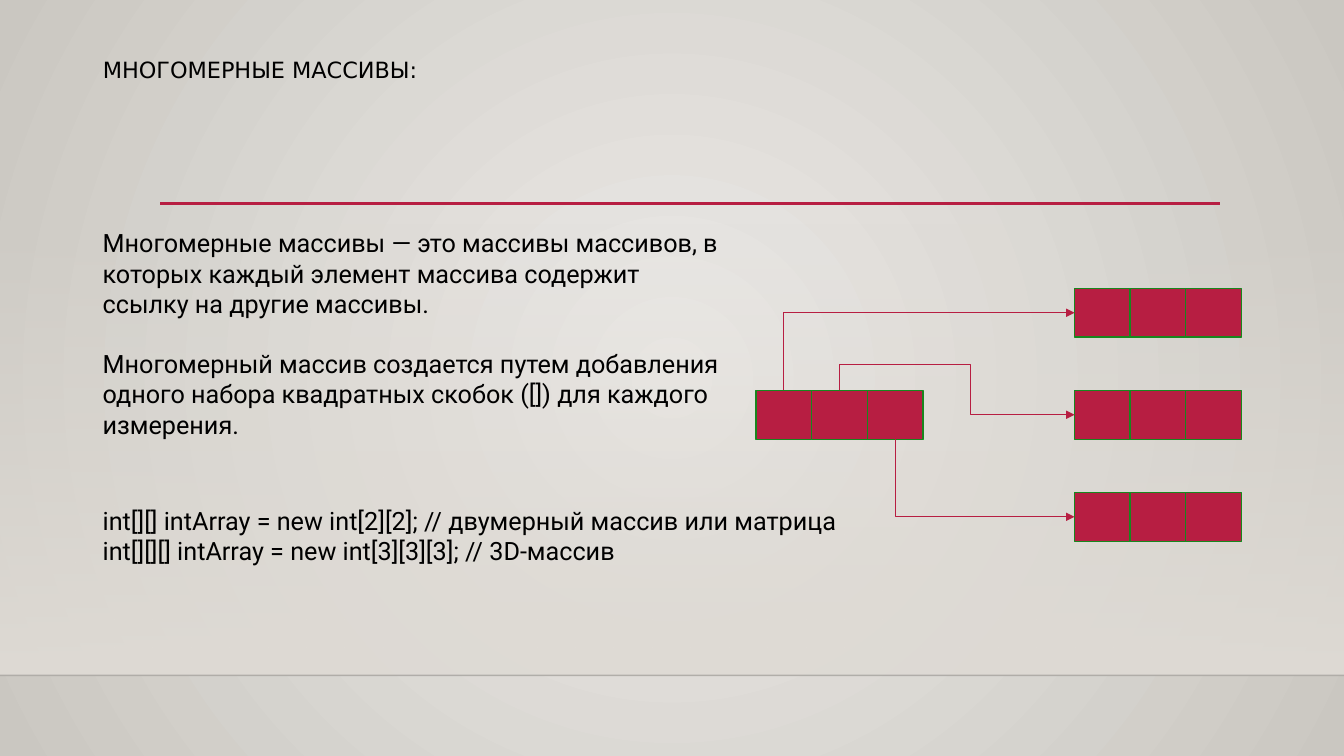
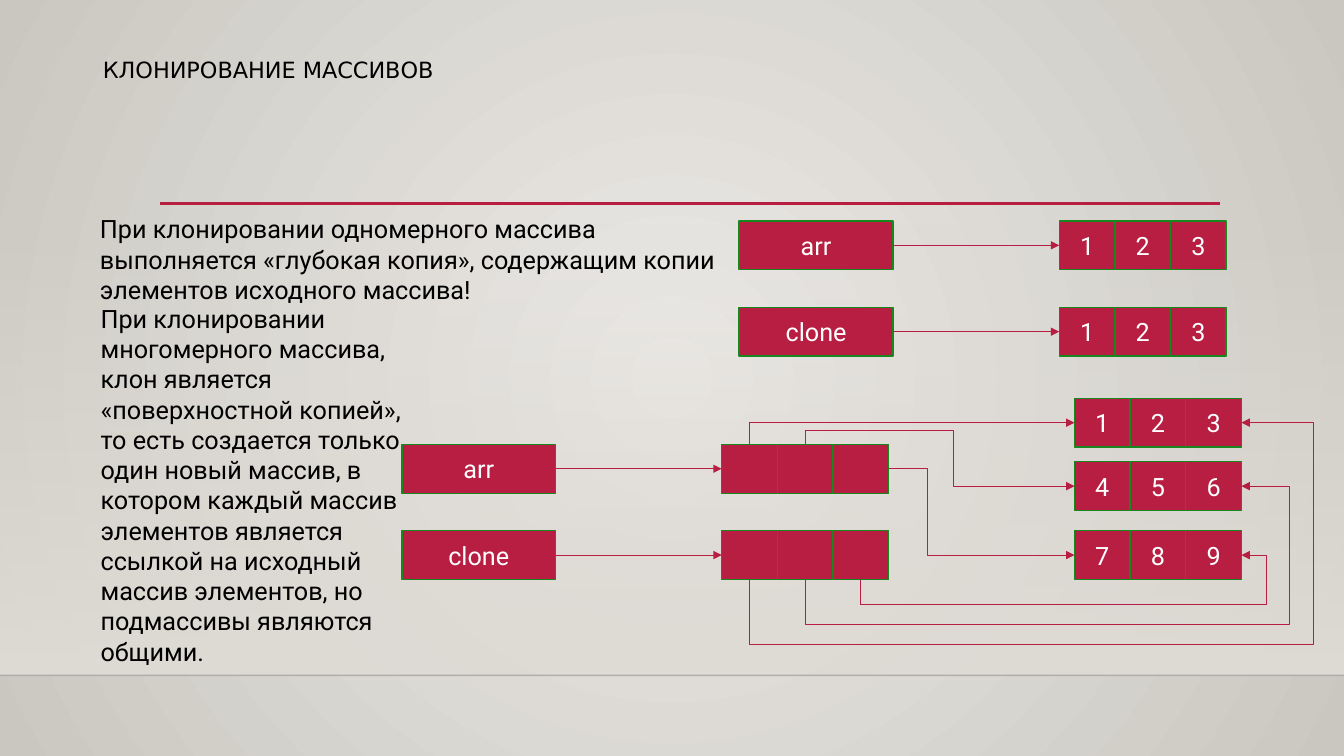
import dataclasses
import lxml.etree
import pptx
import pptx.dml.color
import pptx.enum.shapes
import pptx.enum.text
import pptx.oxml.ns
import pptx.util

QN = pptx.oxml.ns.qn
KIND = pptx.enum.shapes.MSO_CONNECTOR
RECT = pptx.enum.shapes.MSO_SHAPE.RECTANGLE
ALIGN = pptx.enum.text.PP_ALIGN
MID = pptx.enum.text.MSO_ANCHOR.MIDDLE
WIDE, HIGH = pptx.util.Inches(13.333), pptx.util.Inches(7.5)
TOP, LEFT, BASE, RIGHT = range(4)


@dataclasses.dataclass(frozen=True)
class Theme:
    """Colours, fonts, type sizes and cell size in percent of the slide."""
    red: str = "B71E42"
    green: str = "18871E"
    black: str = "000000"
    white: str = "FFFFFF"
    sand: str = "DFDBD5"
    glow: str = "ECEAE7"
    edge: str = "CAC7C1"
    head: str = "DejaVu Sans"
    body: str = "Roboto"
    big: int = 18
    small: int = 16
    cell: tuple = (4.14, 6.47)
    name: tuple = (11.45, 6.47)


LOOK = Theme()


def px(part):
    """Turn a percent of the width into a length."""
    return int(WIDE * part / 100)


def py(part):
    """Turn a percent of the height into a length."""
    return int(HIGH * part / 100)


def area(box):
    """Turn a percent box into left, top, width and height."""
    return px(box[0]), py(box[1]), px(box[2]), py(box[3])


def tint(code):
    """Make a colour from its hex code."""
    return pptx.dml.color.RGBColor.from_string(code)


def put(item, **form):
    """Set each format value on the item."""
    for key, val in form.items():
        setattr(item, key, val)


def node(top, tag, **vals):
    """Add a child element with attributes."""
    return lxml.etree.SubElement(top, QN(tag), {k: str(v) for k, v in vals.items()})


def blend(home, stops, round_=False):
    """Swap a solid fill for a gradient of colour and opacity stops."""
    old = home.find(QN("a:solidFill"))
    fill = lxml.etree.Element(QN("a:gradFill"), rotWithShape="1")
    row = node(fill, "a:gsLst")
    for pos, (code, alpha) in zip((0, 100000), stops):
        hue = node(node(row, "a:gs", pos=pos), "a:srgbClr", val=code)
        node(hue, "a:alpha", val=alpha * 1000)
    if round_:
        way = node(fill, "a:path", path="circle")
        node(way, "a:fillToRect", **dict.fromkeys("ltrb", 50000))
    else:
        node(fill, "a:lin", ang=5400000, scaled=0)
    home.replace(old, fill)


def stroke(item, code, size):
    """Give a shape or connector a plain line."""
    item.line.color.rgb = tint(code)
    item.line.width = pptx.util.Pt(size)


def wire(slide, kind, ends, code, size):
    """Draw a connector without a shadow."""
    item = slide.shapes.add_connector(kind, *ends)
    stroke(item, code, size)
    node(item._element.spPr, "a:effectLst")
    return item


def write(frame, lines, font=LOOK.body, size=LOOK.big, code=LOOK.black, **form):
    """Fill a text frame with formatted paragraphs."""
    frame.word_wrap = True
    for num, line in enumerate(lines):
        para = frame.add_paragraph() if num else frame.paragraphs[0]
        para.text = line
        put(para, **form)
        put(para.runs[0].font, name=font, size=pptx.util.Pt(size))
        para.runs[0].font.color.rgb = tint(code)


def stage(deck, slide):
    """Give the master its background, floor band and rules."""
    master = deck.slide_master
    master.background.fill.solid()
    back = master._element.cSld.find(QN("p:bg")).find(QN("p:bgPr"))
    blend(back, ((LOOK.glow, 100), (LOOK.edge, 100)), True)
    band = slide.shapes.add_shape(RECT, *area((0, 29.47, 100, 59.87)))
    band.shadow.inherit = False
    band.fill.solid()
    band.line.fill.background()
    blend(band._element.spPr, ((LOOK.sand, 0), (LOOK.sand, 100)))
    floor = wire(slide, KIND.STRAIGHT, (0, py(89.33), WIDE, py(89.33)), LOOK.black, 1)
    hue = floor._element.spPr.find(".//" + QN("a:srgbClr"))
    node(hue, "a:alpha", val=20000)
    rule = wire(slide, KIND.STRAIGHT, (px(11.93), py(26.93), px(90.75), py(26.93)), LOOK.red, 2.5)
    for num, item in enumerate((band, floor, rule)):
        part = item._element
        part.find(".//" + QN("p:cNvPr")).set("id", str(100 + num))
        master.shapes._spTree.insert(2 + num, part)


def title(slide, text):
    """Place the slide title."""
    spot = slide.shapes.title
    put(spot, **dict(zip(("left", "top", "width", "height"), area((6.9, 5.33, 85.43, 8.13)))))
    spot.text_frame.vertical_anchor = MID
    write(spot.text_frame, [text], LOOK.head, LOOK.small, alignment=ALIGN.LEFT, line_spacing=0.9)


def prose(slide, box, lines, gap=0):
    """Place body text in a box."""
    spot = slide.shapes.add_textbox(*area(box))
    write(spot.text_frame, lines, space_after=pptx.util.Pt(gap))


def block(slide, left, top, size, text=""):
    """Draw one red block with an optional label."""
    item = slide.shapes.add_shape(RECT, *area((left, top, *size)))
    item.shadow.inherit = False
    item.fill.solid()
    item.fill.fore_color.rgb = tint(LOOK.red)
    stroke(item, LOOK.green, 1)
    if text:
        item.text_frame.vertical_anchor = MID
        write(item.text_frame, [text], code=LOOK.white, alignment=ALIGN.CENTER)
    return item


def array(slide, left, top, marks=("", "", "")):
    """Draw a row of touching array cells."""
    return [block(slide, left + num * LOOK.cell[0], top, LOOK.cell, mark)
            for num, mark in enumerate(marks)]


def link(slide, start, site, end, goal=LEFT, turn_x=None, turn_y=None):
    """Join two blocks with an arrow, bending at the given turns."""
    flat = site == RIGHT and turn_x is None
    item = wire(slide, KIND.STRAIGHT if flat else KIND.ELBOW, (0, 0, 0, 0), LOOK.red, 0.75)
    item.begin_connect(start, site)
    item.end_connect(end, goal)
    node(item._element.spPr.find(QN("a:ln")), "a:tailEnd", type="triangle")
    if flat:
        return
    x, y = item.begin_x, item.begin_y
    dx, dy = item.end_x - x, item.end_y - y
    turns = []
    if turn_y is not None:
        turns.append((py(turn_y) - y) / dy)
    if turn_x is not None:
        turns.append((px(turn_x) - x) / dx)
    geom = item._element.spPr.find(QN("a:prstGeom"))
    if site != RIGHT:
        wide, high = abs(dy), abs(dx)
        put(item, left=x + (dx - wide) // 2, top=y + (dy - high) // 2, width=wide, height=high)
        frame = item._element.spPr.find(QN("a:xfrm"))
        frame.attrib.pop("flipV", None)
        frame.set("rot", "16200000")
        frame.set("flipH", str(int(dy > 0)))
        geom.set("prst", "bentConnector4" if turns else "bentConnector2")
    guides = geom.find(QN("a:avLst"))
    for num, turn in enumerate(turns, 1):
        node(guides, "a:gd", name=f"adj{num}", fmla=f"val {round(turn * 100000)}")


def nested(slide):
    """Draw an array that points to three arrays."""
    root = array(slide, 56.25, 51.63)
    rows = [array(slide, 79.95, 38.13 + 13.5 * num) for num in range(3)]
    link(slide, root[0], TOP, rows[0][0])
    link(slide, root[1], TOP, rows[1][0], turn_x=72.2, turn_y=48.27)
    link(slide, root[2], BASE, rows[2][0])


def pair(slide, left, top, far, marks):
    """Draw the named variables arr and clone with their arrays."""
    rows = []
    for num, name in enumerate(("arr", "clone")):
        level = top + 11.42 * num
        tag = block(slide, left, level, LOOK.name, name)
        rows.append(array(slide, far, level, marks))
        link(slide, tag, RIGHT, rows[-1][0])
    return rows


def shared(slide):
    """Draw two arrays that share the same three rows."""
    first, twin = pair(slide, 29.9, 58.77, 53.7, ("", "", ""))
    rows = [array(slide, 79.95, top, marks)
            for top, marks in ((52.67, "123"), (61.07, "456"), (70.19, "789"))]
    link(slide, first[0], TOP, rows[0][0])
    link(slide, first[1], TOP, rows[1][0], turn_x=70.95, turn_y=56.93)
    link(slide, first[2], RIGHT, rows[2][0], turn_x=69)
    for num, row in enumerate(rows):
        link(slide, twin[num], BASE, row[2], RIGHT, 97.7 - 1.75 * num, 85.2 - 2.6 * num)


def many(slide):
    """Build the slide on multidimensional arrays."""
    title(slide, "МНОГОМЕРНЫЕ МАССИВЫ:")
    prose(slide, (6.9, 29.47, 47.33, 29.6), [
        "Многомерные массивы — это массивы массивов, в которых каждый элемент массива "
        "содержит ссылку на другие массивы.",
        "Многомерный массив создается путем добавления одного набора квадратных скобок ([]) "
        "для каждого измерения."], 21.5)
    nested(slide)
    prose(slide, (6.9, 66.13, 60.83, 9.47), [
        "int[][] intArray = new int[2][2]; // двумерный массив или матрица",
        "int[][][] intArray = new int[3][3][3]; // 3D-массив"])


def clones(slide):
    """Build the slide on cloning arrays."""
    title(slide, "КЛОНИРОВАНИЕ МАССИВОВ")
    prose(slide, (6.7, 27.6, 47.33, 13.47), [
        "При клонировании одномерного массива выполняется «глубокая копия», содержащим копии "
        "элементов исходного массива!"])
    pair(slide, 55, 29.22, 78.82, "123")
    prose(slide, (6.75, 39.47, 24.45, 49.87), [
        "При клонировании многомерного массива, клон является «поверхностной копией», то есть "
        "создается только один новый массив, в котором каждый массив элементов является "
        "ссылкой на исходный массив элементов, но подмассивы являются общими."])
    shared(slide)


def main():
    """Build and save the deck."""
    deck = pptx.Presentation()
    put(deck, slide_width=WIDE, slide_height=HIGH)
    pages = [deck.slides.add_slide(deck.slide_layouts[5]) for _ in range(2)]
    stage(deck, pages[0])
    for build, page in zip((many, clones), pages):
        build(page)
    deck.save("out.pptx")


if __name__ == "__main__":
    main()
